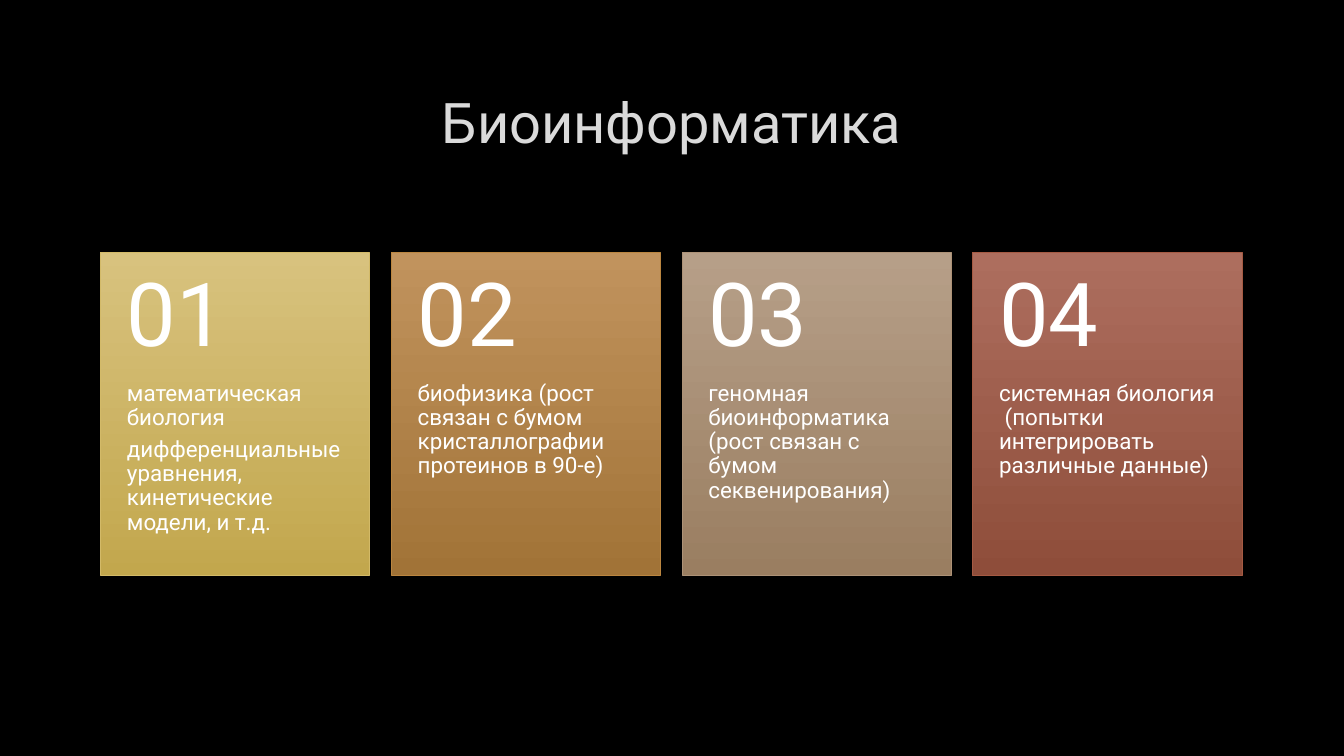
from dataclasses import dataclass

from pptx import Presentation, util as u
from pptx.dml.color import RGBColor
from pptx.enum import shapes, text
from pptx.shapes.group import GroupShape
from pptx.slide import Slide


@dataclass(frozen=True)
class Theme:
    font: str = "Roboto"
    background: str = "000000"
    title_color: str = "DADADA"
    card_text: str = "FFFFFF"
    title_size: int = 40
    number_size: int = 63
    body_size: int = 16
    border_width: float = 0.75
    line_spacing: float = 0.9
    space_after: float = 0.35


@dataclass(frozen=True)
class Card:
    top_color: str
    bottom_color: str
    border_color: str
    lines: tuple[str, ...]


THEME = Theme()
CARDS = (
    Card("D8C27E", "C2A74D", "D3BA68", (
        "математическая биология",
        "дифференциальные уравнения, кинетические модели, и т.д.",
    )),
    Card("C1935D", "A17337", "BB8640", (
        "биофизика (рост связан с бумом кристаллографии протеинов в 90-е)",
    )),
    Card("B69F88", "9A7E61", "AD9277", (
        "геномная биоинформатика (рост связан с бумом секвенирования)",
    )),
    Card("AD6E5E", "8E4D3A", "A55A43", (
        "системная биология  (попытки интегрировать различные данные)",
    )),
)
CARDS_LEFT, CARDS_TOP = 1.0, 2.51
CARD_WIDTH, CARD_HEIGHT = 2.67, 3.2
CARD_GAP = (11.32 - len(CARDS) * CARD_WIDTH) / (len(CARDS) - 1)
NUMBER_HEIGHT = 0.4 * CARD_HEIGHT
SIDE_INSET = 0.26


def add_title(slide: Slide, wording: str) -> None:
    title = slide.shapes.title
    title.left, title.top = u.Inches(1), u.Inches(0.67)
    title.width, title.height = u.Inches(11.32), u.Inches(1.06)
    title.text_frame.text = wording
    title.text_frame.vertical_anchor = text.MSO_ANCHOR.MIDDLE
    paragraph = title.text_frame.paragraphs[0]
    paragraph.alignment = text.PP_ALIGN.CENTER
    paragraph.font.name = THEME.font
    paragraph.font.size = u.Pt(THEME.title_size)
    paragraph.font.color.rgb = RGBColor.from_string(THEME.title_color)


def add_panel(group: GroupShape, card: Card, left: float) -> None:
    panel = group.shapes.add_shape(
        shapes.MSO_SHAPE.RECTANGLE, u.Inches(left), u.Inches(CARDS_TOP),
        u.Inches(CARD_WIDTH), u.Inches(CARD_HEIGHT))
    panel.shadow.inherit = False
    panel.fill.gradient()
    panel.fill.gradient_angle = 270
    for stop, color in zip(panel.fill.gradient_stops, (card.top_color, card.bottom_color)):
        stop.color.rgb = RGBColor.from_string(color)
    panel.line.color.rgb = RGBColor.from_string(card.border_color)
    panel.line.width = u.Pt(THEME.border_width)


def add_card_text(group: GroupShape, lines: tuple[str, ...], left: float, top: float,
                  height: float, size: int, inset_top: float, inset_bottom: float,
                  anchor: text.MSO_ANCHOR) -> None:
    box = group.shapes.add_textbox(
        u.Inches(left), u.Inches(top), u.Inches(CARD_WIDTH), u.Inches(height))
    frame = box.text_frame
    frame.word_wrap = True
    frame.vertical_anchor = anchor
    frame.margin_left = frame.margin_right = u.Inches(SIDE_INSET)
    frame.margin_top, frame.margin_bottom = u.Inches(inset_top), u.Inches(inset_bottom)
    frame.text = "\n".join(lines)
    for paragraph in frame.paragraphs:
        paragraph.line_spacing = THEME.line_spacing
        paragraph.space_after = u.Pt(THEME.space_after * size)
        paragraph.font.name = THEME.font
        paragraph.font.size = u.Pt(size)
        paragraph.font.color.rgb = RGBColor.from_string(THEME.card_text)


def main() -> None:
    presentation = Presentation()
    presentation.slide_width, presentation.slide_height = u.Inches(13.33), u.Inches(7.5)
    slide = presentation.slides.add_slide(presentation.slide_layouts[5])
    slide.background.fill.solid()
    slide.background.fill.fore_color.rgb = RGBColor.from_string(THEME.background)
    add_title(slide, "Биоинформатика")
    group = slide.shapes.add_group_shape()
    for index, card in enumerate(CARDS):
        left = CARDS_LEFT + index * (CARD_WIDTH + CARD_GAP)
        add_panel(group, card, left)
        add_card_text(group, card.lines, left, CARDS_TOP + NUMBER_HEIGHT,
                      CARD_HEIGHT - NUMBER_HEIGHT, THEME.body_size, 0, 0.36,
                      text.MSO_ANCHOR.TOP)
        add_card_text(group, (f"{index + 1:02d}",), left, CARDS_TOP, NUMBER_HEIGHT,
                      THEME.number_size, 0.18, 0.18, text.MSO_ANCHOR.MIDDLE)
    presentation.save("out.pptx")


if __name__ == "__main__":
    main()
